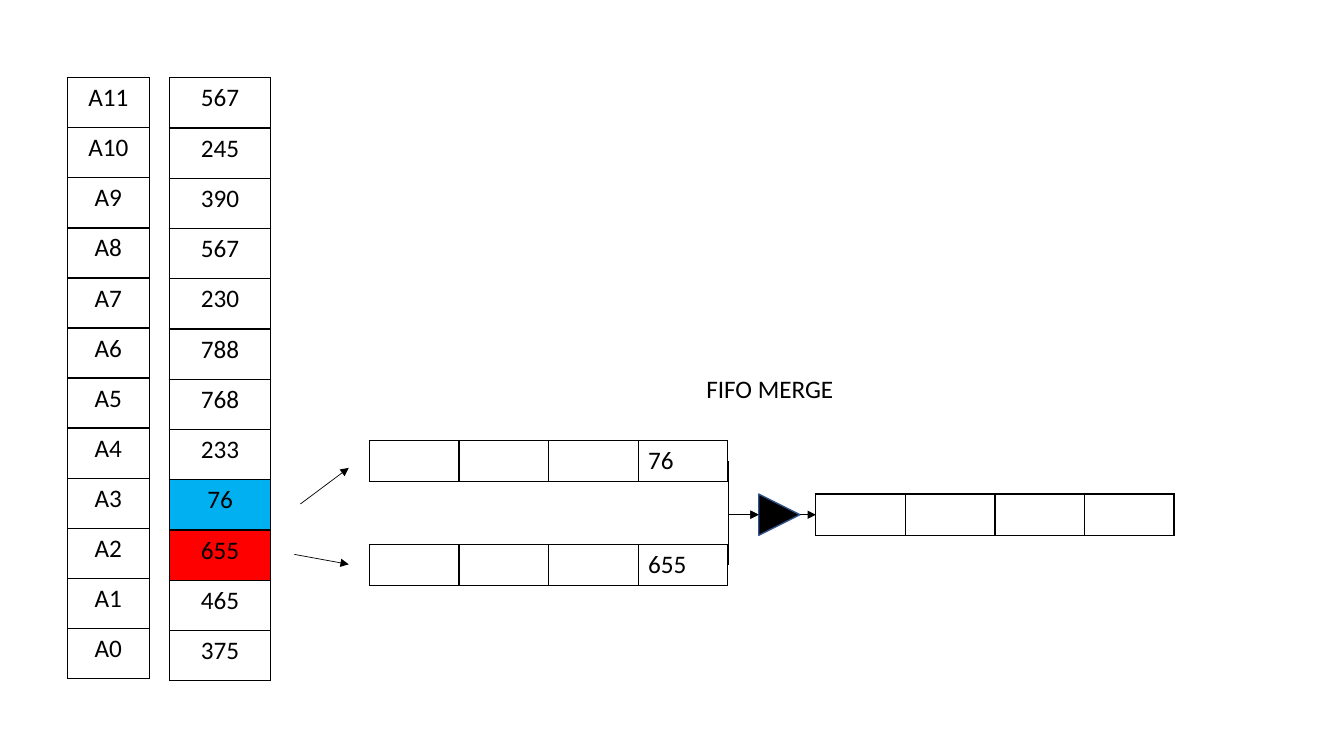
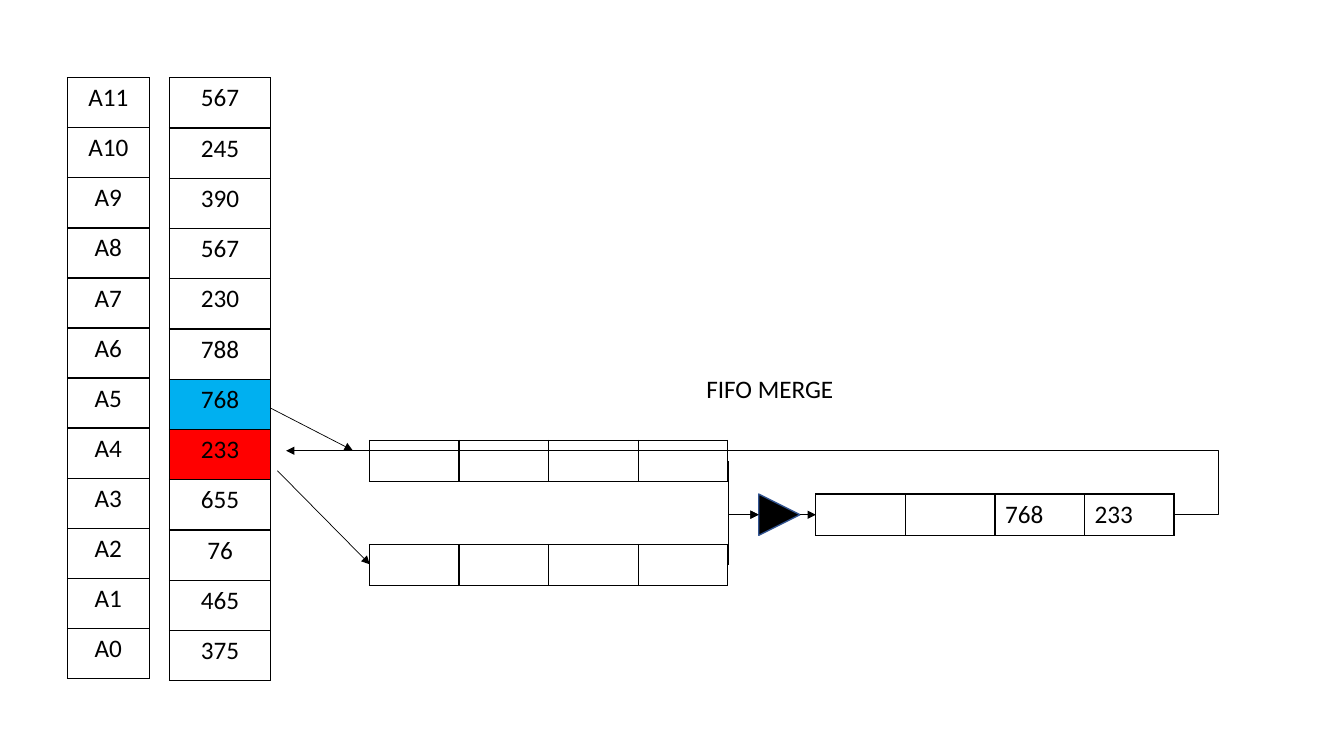
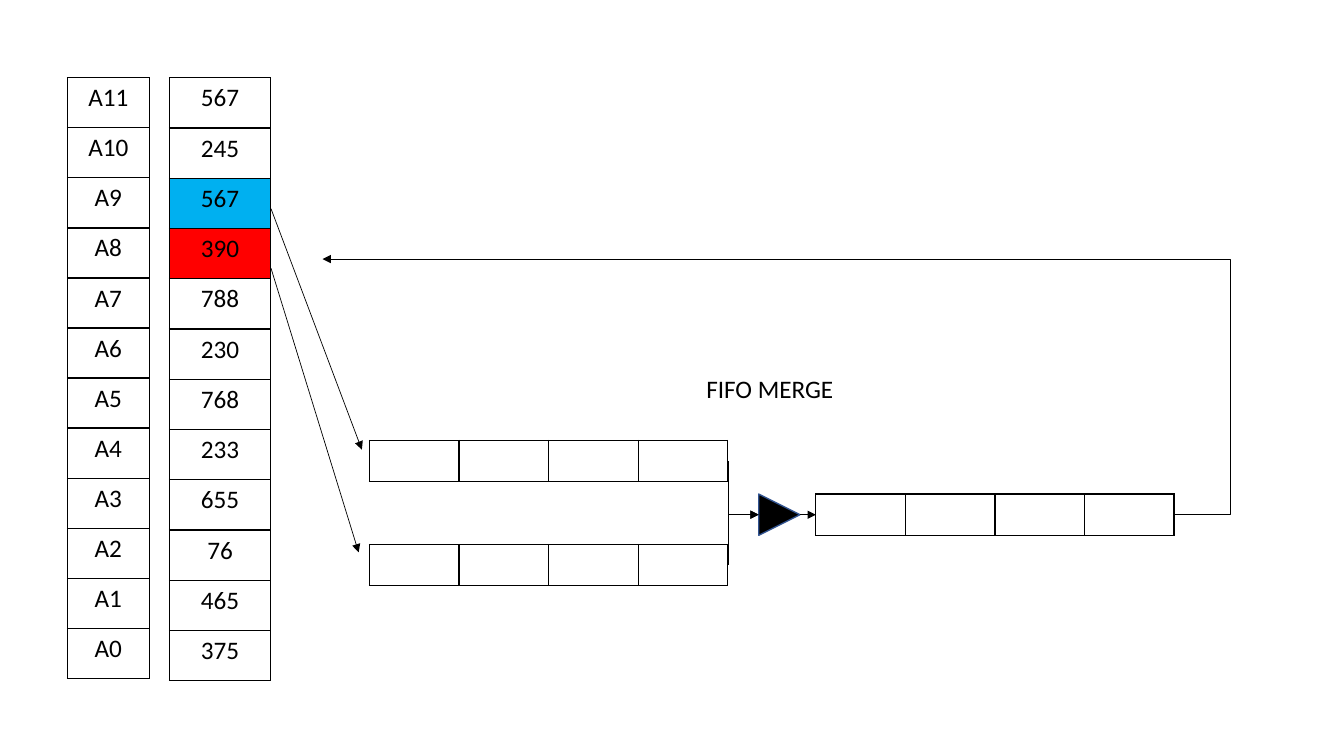
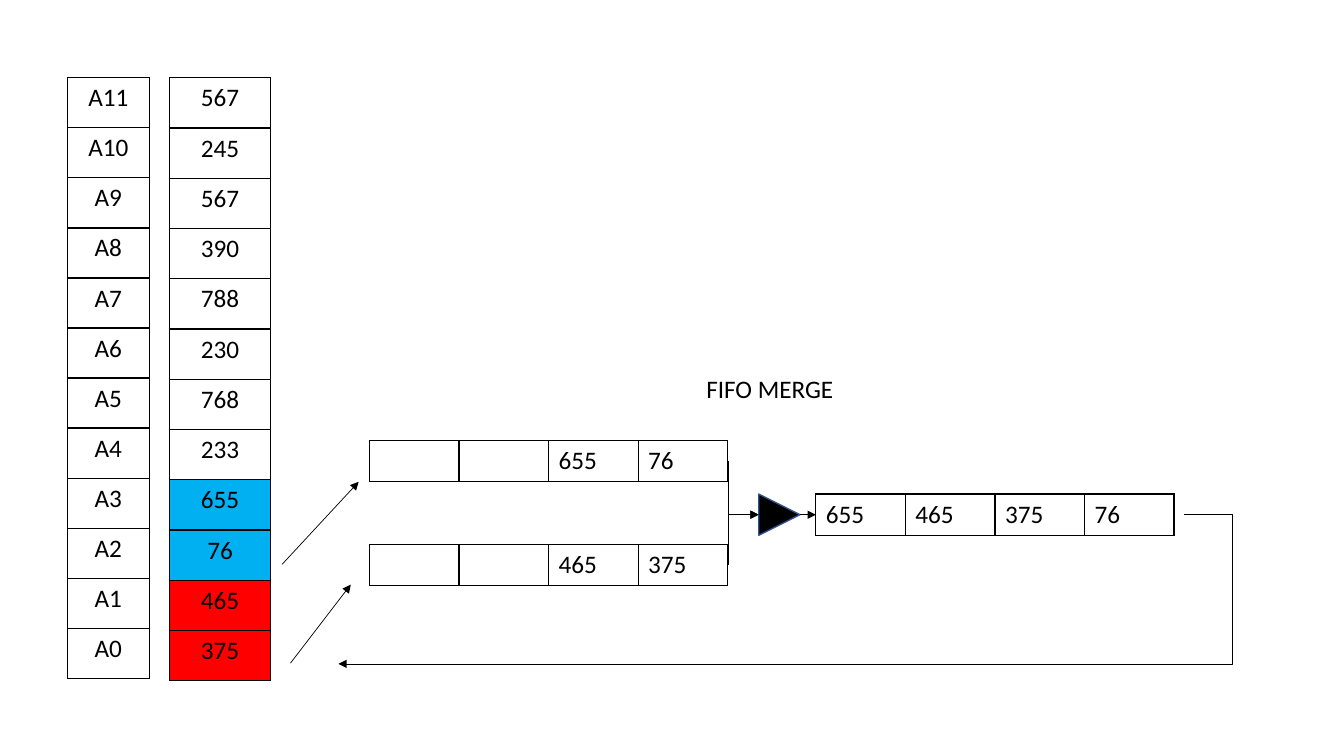
from lxml.etree import SubElement
from pptx import Presentation
from pptx.dml.color import RGBColor
from pptx.enum.shapes import MSO_CONNECTOR as Connector, MSO_SHAPE as Shape
from pptx.enum.text import PP_ALIGN as Align
from pptx.oxml.ns import qn
from pptx.util import Cm, Pt

COLORS = {"ink": "000000", "outline": "325491", "upper": "00B0F0", "lower": "FF0000"}
RGB = {name: RGBColor.from_string(value) for name, value in COLORS.items()}
FONT = "Calibri"
TEXT_SIZE = Pt(18)

ADDRESSES = [[f"A{index}"] for index in range(11, -1, -1)]
QUEUE_WIDTH, QUEUE_HEIGHT = 9.03, 1.04
QUEUES = {"upper": (9.31, 11.1), "lower": (9.31, 13.72), "merged": (20.56, 12.45)}
AXIS_Y = 12.97
MERGE_X, GATE_X, GATE_SIZE = 18.35, 19.12, 1.04

STEPS = [
    {
        "memory": [567, 245, 390, 567, 230, 788, 768, 233, 76, 655, 465, 375],
        "marks": {8: "upper", 9: "lower"},
        "queues": {"upper": ["", "", "", 76], "lower": ["", "", "", 655]},
        "loads": [((7.42, 13.97), (8.79, 14.22)), ((7.57, 12.7), (8.79, 11.79))],
    },
    {
        "memory": [567, 245, 390, 567, 230, 788, 768, 233, 655, 76, 465, 375],
        "marks": {6: "upper", 7: "lower"},
        "queues": {"merged": ["", "", 768, 233]},
        "loads": [((6.83, 10.29), (8.89, 11.35)), ((6.99, 11.86), (9.32, 14.22))],
        "store": {"start": 29.6, "turn": 30.69, "end": (7.21, 11.36)},
    },
    {
        "memory": [567, 245, 567, 390, 788, 230, 768, 233, 655, 76, 465, 375],
        "marks": {2: "upper", 3: "lower"},
        "queues": {},
        "loads": [((6.83, 6.76), (9.04, 13.92)), ((6.83, 5.26), (9.12, 11.33))],
        "store": {"start": 29.6, "turn": 31.01, "end": (8.13, 6.53)},
    },
    {
        "memory": [567, 245, 567, 390, 788, 230, 768, 233, 655, 76, 465, 375],
        "marks": {8: "upper", 9: "upper", 10: "lower", 11: "lower"},
        "queues": {
            "upper": ["", "", 655, 76],
            "lower": ["", "", 465, 375],
            "merged": [655, 465, 375, 76],
        },
        "loads": [((7.11, 14.22), (9.04, 12.14)), ((7.32, 16.71), (8.84, 14.73))],
        "store": {"start": 29.85, "turn": 31.06, "end": (8.53, 16.73)},
    },
]


def add_grid(slide, left, top, width, height, rows, align=None, marks={}):
    table = slide.shapes.add_table(
        len(rows), len(rows[0]), Cm(left), Cm(top), Cm(width), Cm(height)
    ).table
    table.first_row = table.horz_banding = False
    for row_index, row in enumerate(rows):
        for column_index, value in enumerate(row):
            cell = table.cell(row_index, column_index)
            properties = cell._tc.get_or_add_tcPr()
            for side in ("L", "R", "T", "B"):
                border = SubElement(properties, qn(f"a:ln{side}"), w=str(Pt(1)))
                fill = SubElement(border, qn("a:solidFill"))
                SubElement(fill, qn("a:srgbClr"), val=COLORS["ink"])
            if row_index in marks:
                cell.fill.solid()
                cell.fill.fore_color.rgb = RGB[marks[row_index]]
            else:
                cell.fill.background()
            paragraph = cell.text_frame.paragraphs[0]
            paragraph.font.name = FONT
            paragraph.font.size = TEXT_SIZE
            paragraph.font.color.rgb = RGB["ink"]
            paragraph.alignment = align
            if value != "":
                paragraph.text = str(value)


def add_arrow(slide, start, end, kind=Connector.STRAIGHT):
    arrow = slide.shapes.add_connector(kind, *map(Cm, start + end))
    arrow.line.color.rgb = RGB["ink"]
    arrow.line.width = Pt(0.5)
    properties = arrow.element.spPr
    SubElement(properties.find(qn("a:ln")), qn("a:tailEnd"), type="triangle")
    SubElement(properties, qn("a:effectLst"))
    return properties


presentation = Presentation()
presentation.slide_width = Cm(33.87)
presentation.slide_height = Cm(19.05)

for step in STEPS:
    slide = presentation.slides.add_slide(presentation.slide_layouts[6])

    memory = [[value] for value in step["memory"]]
    add_grid(slide, 4.27, 1.96, 2.55, 15.2, memory, Align.CENTER, step["marks"])
    add_grid(slide, 1.7, 1.96, 2.06, 15.14, ADDRESSES, Align.CENTER)
    for name, (left, top) in QUEUES.items():
        values = step["queues"].get(name, [""] * 4)
        add_grid(slide, left, top, QUEUE_WIDTH, QUEUE_HEIGHT, [values])

    gate = slide.shapes.add_shape(
        Shape.ISOSCELES_TRIANGLE, Cm(GATE_X), Cm(12.45), Cm(GATE_SIZE), Cm(GATE_SIZE)
    )
    gate.rotation = 90
    gate.shadow.inherit = False
    gate.fill.solid()
    gate.fill.fore_color.rgb = RGB["ink"]
    gate.line.color.rgb = RGB["outline"]
    gate.line.width = Pt(1)

    for queue_y, side, angle in ((11.62, -1, 270), (14.23, 1, 90)):
        center_x, center_y = (MERGE_X + GATE_X) / 2, (queue_y + AXIS_Y) / 2
        half_width = abs(AXIS_Y - queue_y) / 2
        half_height = side * (GATE_X - MERGE_X) / 2
        properties = add_arrow(
            slide,
            (center_x + half_width, center_y + half_height),
            (center_x - half_width, center_y - half_height),
            Connector.ELBOW,
        )
        properties.find(qn("a:xfrm")).set("rot", str(angle * 60000))
        properties.find(qn("a:prstGeom")).set("prst", "bentConnector2")
    add_arrow(slide, (GATE_X + GATE_SIZE, AXIS_Y), (QUEUES["merged"][0], AXIS_Y))

    title = slide.shapes.add_textbox(Cm(17.55), Cm(9.27), Cm(13.56), Cm(1.02))
    title.text_frame.word_wrap = True
    paragraph = title.text_frame.paragraphs[0]
    paragraph.text = "FIFO MERGE"
    paragraph.font.name = FONT
    paragraph.font.size = TEXT_SIZE
    paragraph.font.color.rgb = RGB["ink"]

    for start, end in step["loads"]:
        add_arrow(slide, start, end)

    if "store" in step:
        start_x, turn_x, end = step["store"].values()
        properties = add_arrow(slide, (start_x, AXIS_Y), end, Connector.ELBOW)
        bend = round((start_x - turn_x) / (start_x - end[0]) * 100000)
        adjustments = properties.find(qn("a:prstGeom")).find(qn("a:avLst"))
        SubElement(adjustments, qn("a:gd"), name="adj1", fmla=f"val {bend}")

presentation.save("out.pptx")
